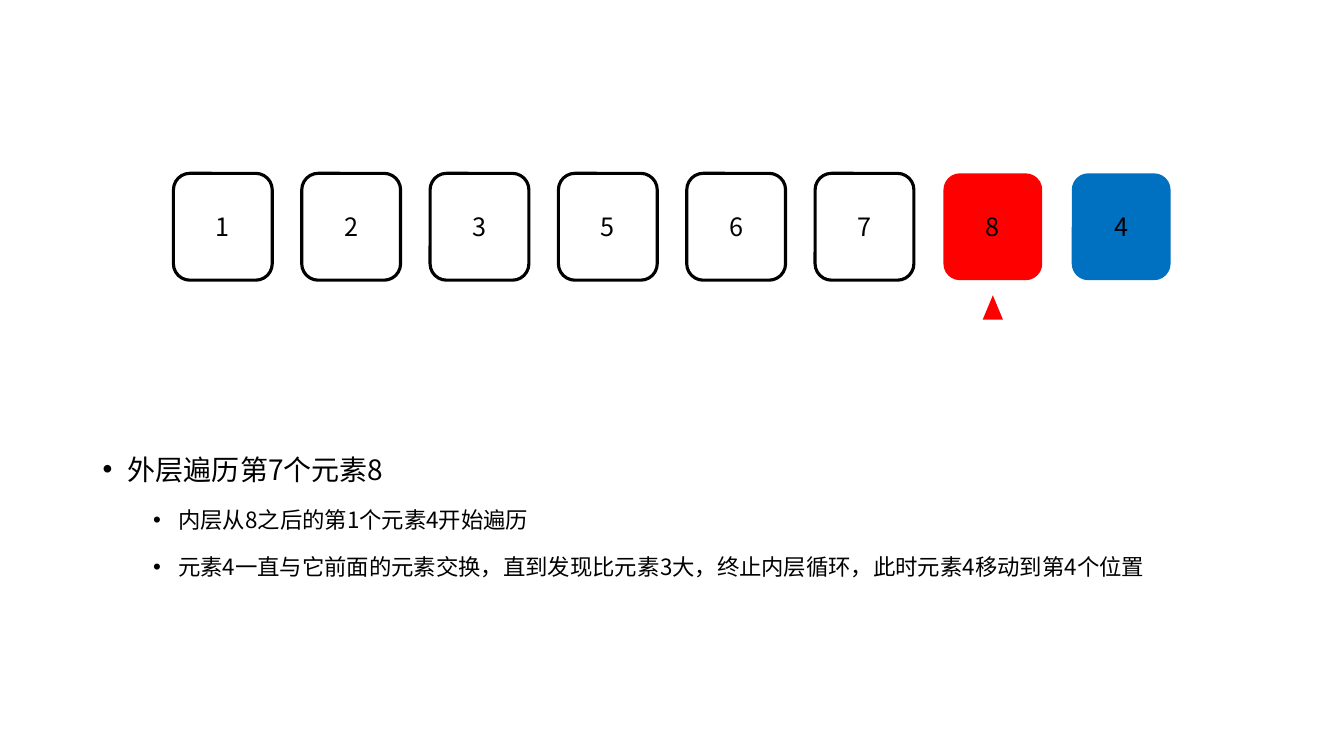
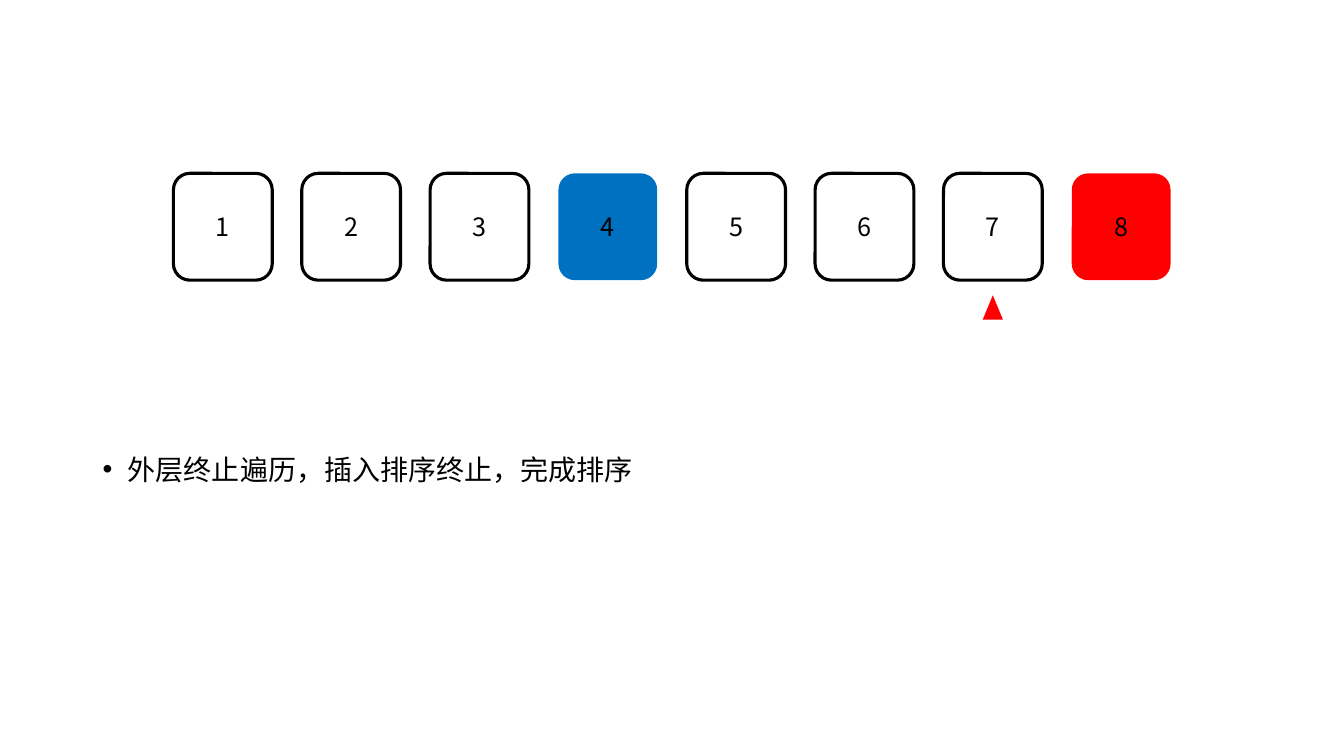
"""Build two slides showing the last steps of an insertion sort."""
from lxml.etree import SubElement
from pptx import Presentation
from pptx.dml.color import RGBColor
from pptx.enum.shapes import MSO_SHAPE as Shape
from pptx.enum.text import MSO_ANCHOR as Anchor, PP_ALIGN as Align
from pptx.oxml.ns import qn
from pptx.util import Inches, Pt

BLACK = RGBColor(0, 0, 0)
RED = RGBColor(0xFF, 0, 0)
BLUE = RGBColor(0, 0x70, 0xC0)
FONT = "Noto Sans CJK SC"
FILLS = {8: RED, 4: BLUE}
ROW_LEFT, ROW_TOP = 1.72, 1.72
CELL_WIDTH, CELL_HEIGHT = 0.98, 1.06
CELL_STEP = (10.63 - ROW_LEFT) / 7
POINTER_WIDTH = 0.2
POINTER_INDEX = 6
LEVELS = [(20, 0.25, 10), (16, 0.75, 5)]

STEPS = [
    ([1, 2, 3, 5, 6, 7, 8, 4], [
        (0, "外层遍历第7个元素8"),
        (1, "内层从8之后的第1个元素4开始遍历"),
        (1, "元素4一直与它前面的元素交换，直到发现比元素3大，终止内层循环，此时元素4移动到第4个位置"),
    ]),
    ([1, 2, 3, 4, 5, 6, 7, 8], [
        (0, "外层终止遍历，插入排序终止，完成排序"),
    ]),
]


def add_block(slide, kind, left, top, width, height, fill):
    shape = slide.shapes.add_shape(kind, Inches(left), Inches(top), Inches(width), Inches(height))
    shape.shadow.inherit = False
    if fill is None:
        shape.fill.background()
        shape.line.color.rgb = BLACK
        shape.line.width = Pt(2.25)
    else:
        shape.fill.solid()
        shape.fill.fore_color.rgb = fill
        shape.line.fill.background()
    return shape


def set_text(paragraph, text, size):
    paragraph.text = text
    font = paragraph.runs[0].font
    font.name = FONT
    font.size = Pt(size)
    font.color.rgb = BLACK
    properties = paragraph.runs[0]._r.get_or_add_rPr()
    SubElement(properties, qn("a:ea"), typeface=FONT)


presentation = Presentation()
presentation.slide_width = Inches(13.33)
presentation.slide_height = Inches(7.5)

for numbers, bullets in STEPS:
    slide = presentation.slides.add_slide(presentation.slide_layouts[6])

    for index, number in enumerate(numbers):
        cell = add_block(slide, Shape.ROUNDED_RECTANGLE, ROW_LEFT + index * CELL_STEP, ROW_TOP,
                         CELL_WIDTH, CELL_HEIGHT, FILLS.get(number))
        cell.text_frame.vertical_anchor = Anchor.MIDDLE
        paragraph = cell.text_frame.paragraphs[0]
        paragraph.alignment = Align.CENTER
        set_text(paragraph, str(number), 18)

    pointer_left = ROW_LEFT + POINTER_INDEX * CELL_STEP + (CELL_WIDTH - POINTER_WIDTH) / 2
    add_block(slide, Shape.ISOSCELES_TRIANGLE, pointer_left, 2.93, POINTER_WIDTH, 0.24, RED)

    text_box = slide.shapes.add_textbox(Inches(0.92), Inches(4.27), Inches(11.5), Inches(2.79))
    text_frame = text_box.text_frame
    text_frame.word_wrap = True
    for index, (level, text) in enumerate(bullets):
        size, indent, space_before = LEVELS[level]
        paragraph = text_frame.add_paragraph() if index else text_frame.paragraphs[0]
        paragraph.level = level
        paragraph.line_spacing = 1.5
        if index:
            paragraph.space_before = Pt(space_before)
        properties = paragraph._p.get_or_add_pPr()
        properties.set("marL", str(Inches(indent)))
        properties.set("indent", str(Inches(-0.25)))
        SubElement(properties, qn("a:buFont"), typeface="Arial")
        SubElement(properties, qn("a:buChar"), char="•")
        set_text(paragraph, text, size)

presentation.save("out.pptx")
